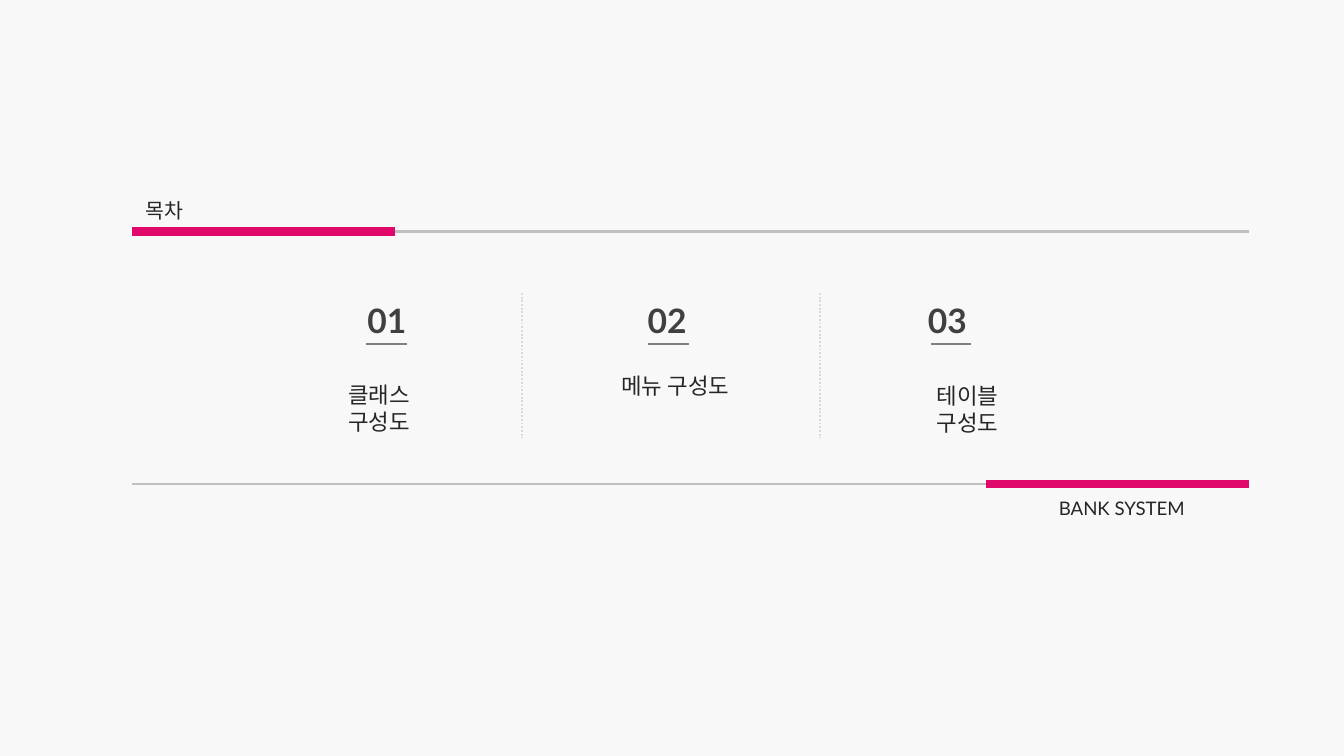
from lxml.etree import SubElement
from pptx import Presentation
from pptx.dml.color import RGBColor
from pptx.enum.dml import MSO_LINE
from pptx.enum.shapes import MSO_CONNECTOR
from pptx.enum.text import MSO_AUTO_SIZE, PP_ALIGN
from pptx.oxml.ns import qn
from pptx.util import Inches, Pt

COLUMNS, ROWS = 100, 56.25
WIDTH = Inches(10)
HEIGHT = WIDTH * 9 // 16
PINK, RULE_GRAY, DOT_GRAY, DASH_GRAY = "E00868", "BFBFBF", "D9D9D9", "808080"
TEXT_DARK, NUMBER_GRAY, PAPER = "262626", "404040", "F8F8F8"
# Each topic: wording, left column, top row and width of its label
TOPICS = [
    ("클래스 구성도", 22.4, 27.85, 11.6),
    ("메뉴 구성도", 44.2, 27.2, 12.1),
    ("테이블 구성도", 66.2, 27.95, 11.6),
]


def column(number):
    return round(WIDTH * number / COLUMNS)


def row(number):
    return round(HEIGHT * number / ROWS)


def color(hex_value):
    return RGBColor.from_string(hex_value)


def add_line(page, start, end, hex_value, weight, dash=None):
    line = page.shapes.add_connector(
        MSO_CONNECTOR.STRAIGHT,
        column(start[0]), row(start[1]), column(end[0]), row(end[1]))
    line.line.color.rgb = color(hex_value)
    line.line.width = Pt(weight)
    if dash:
        line.line.dash_style = dash
    SubElement(line._element.spPr, qn("a:effectLst"))


def add_text(page, text, left, top, width, height, size, hex_value=TEXT_DARK,
             bold=False, align=PP_ALIGN.LEFT, margin=1):
    box = page.shapes.add_textbox(
        column(left), row(top), column(width), row(height))
    frame = box.text_frame
    frame.word_wrap = True
    frame.auto_size = MSO_AUTO_SIZE.SHAPE_TO_FIT_TEXT
    frame.margin_left = frame.margin_right = column(margin)
    para = frame.paragraphs[0]
    para.alignment = align
    span = para.add_run()
    span.text = text
    span.font.name = "Lato"
    span.font.size = Pt(size)
    span.font.bold = bold
    span.font.color.rgb = color(hex_value)


def add_rule(page, level, gray_span, pink_span):
    """Draw a thin gray rule with a thick pink part over one end."""
    for (start, end), hex_value, weight in (
            (gray_span, RULE_GRAY, 1.5), (pink_span, PINK, 4.5)):
        add_line(page, (start, level), (end, level), hex_value, weight)


def add_topic(page, index, label, left, top, width):
    add_text(page, f"{index + 1:02}", 26.35 + 20.85 * index, 21.85, 10.4, 4,
             18, NUMBER_GRAY, bold=True)
    dash_left = 27.25 + 21 * index
    add_line(page, (dash_left, 25.6), (dash_left + 3, 25.6), DASH_GRAY, 1)
    add_text(page, label, left, top, width, 3, 12,
             align=PP_ALIGN.CENTER, margin=1.3)


def main():
    deck = Presentation()
    deck.slide_width, deck.slide_height = WIDTH, HEIGHT
    page = deck.slides.add_slide(deck.slide_layouts[6])
    page.background.fill.solid()
    page.background.fill.fore_color.rgb = color(PAPER)

    add_rule(page, 17.23, (20, 92.9), (9.8, 29.4))
    add_rule(page, 36.02, (9.8, 82.8), (73.35, 92.9))
    add_text(page, "목차", 9.85, 14.25, 18.5, 2.9, 11)
    add_text(page, "BANK SYSTEM", 77.8, 36.5, 18.5, 2.7, 10)

    for divider in (38.85, 61):
        add_line(page, (divider, 21.8), (divider, 32.6), DOT_GRAY, 1,
                 MSO_LINE.ROUND_DOT)
    for index, topic in enumerate(TOPICS):
        add_topic(page, index, *topic)

    deck.save("out.pptx")


if __name__ == "__main__":
    main()
